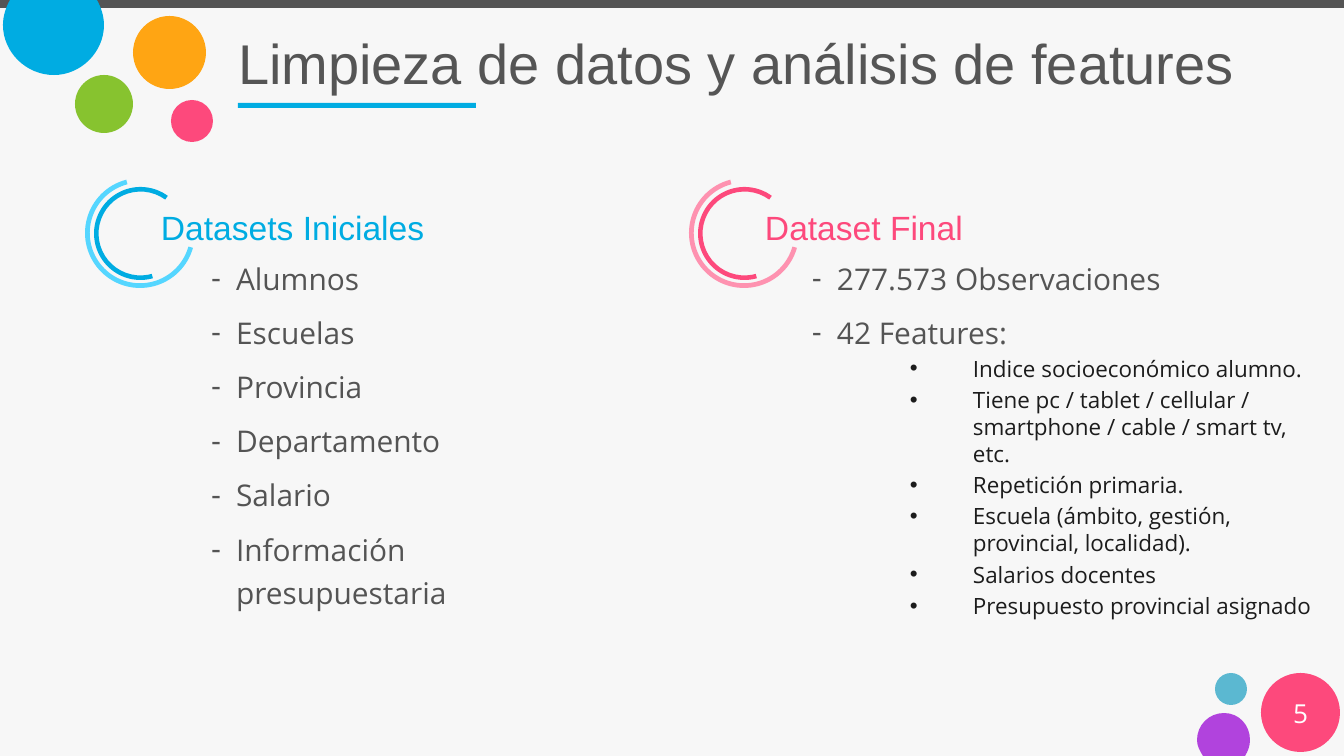
import lxml.etree
import pptx
import pptx.dml.color
import pptx.enum.shapes
import pptx.enum.text
import pptx.oxml.ns
import pptx.util

WIDTH, HEIGHT = 1344, 756
PX = 20 * 914400 / WIDTH
SHAPE = pptx.enum.shapes.MSO_SHAPE
ALIGN = pptx.enum.text.PP_ALIGN
ANCHOR = pptx.enum.text.MSO_ANCHOR

COLOURS = {
    "paper": "F7F7F7", "bar": "545454", "title": "555555", "ink": "1C1C1C",
    "white": "FFFFFF", "blue": "00ACE2", "light blue": "55D6FF",
    "pink": "FD497C", "light pink": "FE92B0", "green": "87C32F",
    "orange": "FFA513", "teal": "5BB8D1", "purple": "B143DD",
}

TITLE = "Limpieza de datos y análisis de features"
PAGE_NUMBER = "5"
COLUMNS = [
    {
        "heading": "Datasets Iniciales", "colour": "blue",
        "left": 85, "list left": 199, "list width": 429,
        "items": ["Alumnos", "Escuelas", "Provincia", "Departamento", "Salario",
                  "Información presupuestaria"],
        "details": [],
    },
    {
        "heading": "Dataset Final", "colour": "pink",
        "left": 689, "list left": 800, "list width": 524,
        "items": ["277.573 Observaciones", "42 Features:"],
        "details": ["Indice socioeconómico alumno.",
                    "Tiene pc / tablet / cellular / smartphone / cable / smart tv, etc.",
                    "Repetición primaria.",
                    "Escuela (ámbito, gestión, provincial, localidad).",
                    "Salarios docentes",
                    "Presupuesto provincial asignado"],
    },
]

BARS = [(0, 0, WIDTH, 8, "bar"), (238, 103, 238, 5, "blue")]
BUBBLES = [
    (171, 100, 42, "pink"), (75, 75, 58, "green"), (133, 16, 73, "orange"),
    (1215, 673, 32, "teal"), (1261, 673, 79, "pink"),
]
CUT_BUBBLES = [
    ("blue", [(10, 0), (97, 0),
              (101, 7), (104, 16), (104, 25), (104, 52), (81, 75), (54, 75),
              (26, 75), (3, 52), (3, 25), (3, 16), (6, 7), (10, 0)]),
    ("purple", [(1245, 756), (1203, 756),
                (1200, 751), (1197, 746), (1197, 740), (1197, 725), (1209, 713), (1224, 713),
                (1239, 713), (1250, 725), (1250, 740), (1250, 746), (1248, 751), (1245, 756)]),
]
ARCS = [
    {"inset": 0, "size": 110, "turn": 60, "shade": "light ",
     "adjust": (189.41, 117.33, 0.043)},
    {"inset": 9, "size": 93, "turn": 110.3, "shade": "",
     "adjust": (194.52, 117.42, 0.049)},
]

TITLE_STYLE = {"font": {"name": "Arial", "size": 60}, "colour": "title"}
HEADING_STYLE = {"font": {"name": "Arial", "size": 36},
                 "para": {"line_spacing": 1.2, "space_before": pptx.util.Pt(12)}}
ITEM_STYLE = {"font": {"name": "Open Sans", "size": 32}, "colour": "bar",
              "para": {"line_spacing": 1.2, "space_before": pptx.util.Pt(12)},
              "bullet": ("-", 25, 25)}
DETAIL_STYLE = {"font": {"name": "Open Sans", "size": 24}, "colour": "ink",
                "para": {"line_spacing": 1.0, "space_before": pptx.util.Pt(4.8), "level": 1},
                "bullet": ("•", 161, 63)}
NUMBER_STYLE = {"font": {"name": "Open Sans", "size": 28}, "colour": "white",
                "para": {"alignment": ALIGN.CENTER}}


def emu(*lengths):
    return [round(length * PX) for length in lengths]


def rgb(name):
    return pptx.dml.color.RGBColor.from_string(COLOURS[name])


def paint(shape, colour):
    shape.shadow.inherit = False
    shape.fill.solid()
    shape.fill.fore_color.rgb = rgb(colour)
    shape.line.fill.background()


def add_filled(page, kind, left, top, width, height, colour):
    shape = page.shapes.add_shape(kind, *emu(left, top, width, height))
    paint(shape, colour)
    return shape


def add_cut_bubble(page, colour, points):
    corners = [emu(*point) for point in points]
    builder = page.shapes.build_freeform(*corners[0])
    builder.add_line_segments(corners[1:], close=True)
    shape = builder.convert_to_shape()
    segments = list(shape._element.iter(pptx.oxml.ns.qn("a:lnTo")))[1:]
    for index in range(0, len(segments), 3):
        curve = lxml.etree.Element(pptx.oxml.ns.qn("a:cubicBezTo"))
        segments[index].addprevious(curve)
        for segment in segments[index:index + 3]:
            curve.append(segment[0])
            segment.getparent().remove(segment)
    paint(shape, colour)


def add_bullet(para, mark, margin, hang):
    properties = para._p.get_or_add_pPr()
    for key, value in zip(("marL", "indent"), emu(margin, -hang)):
        properties.set(key, str(value))
    for tag, key, value in (("a:buFont", "typeface", "Arial"), ("a:buChar", "char", mark)):
        lxml.etree.SubElement(properties, pptx.oxml.ns.qn(tag)).set(key, value)


def add_text(page, place, anchor, lines):
    box = page.shapes.add_textbox(*emu(*place))
    frame = box.text_frame
    side, edge = emu(12, 6)
    settings = {"word_wrap": True, "vertical_anchor": anchor, "margin_left": side,
                "margin_right": side, "margin_top": edge, "margin_bottom": edge}
    for key, value in settings.items():
        setattr(frame, key, value)
    for index, (text, style) in enumerate(lines):
        para = frame.add_paragraph() if index else frame.paragraphs[0]
        for key, value in style.get("para", {}).items():
            setattr(para, key, value)
        if "bullet" in style:
            add_bullet(para, *style["bullet"])
        span = para.add_run()
        span.text = text
        span.font.name = style["font"]["name"]
        span.font.size = pptx.util.Pt(style["font"]["size"])
        span.font.color.rgb = rgb(style["colour"])


def add_column(page, column):
    left, colour = column["left"], column["colour"]
    for arc in ARCS:
        ring = add_filled(page, SHAPE.BLOCK_ARC, left + arc["inset"], 178 + arc["inset"],
                          arc["size"], arc["size"], arc["shade"] + colour)
        ring.rotation = arc["turn"]
        for index, value in enumerate(arc["adjust"]):
            ring.adjustments[index] = value
    add_text(page, (left + 64, 195, 523, 58), ANCHOR.BOTTOM,
             [(column["heading"], {**HEADING_STYLE, "colour": colour})])
    lines = [(item, ITEM_STYLE) for item in column["items"]]
    lines += [(detail, DETAIL_STYLE) for detail in column["details"]]
    add_text(page, (column["list left"], 247, column["list width"], 404), ANCHOR.TOP, lines)


def main():
    deck = pptx.Presentation()
    deck.slide_width, deck.slide_height = emu(WIDTH, HEIGHT)
    page = deck.slides.add_slide(deck.slide_layouts[6])
    page.background.fill.solid()
    page.background.fill.fore_color.rgb = rgb("paper")

    for bar in BARS:
        add_filled(page, SHAPE.RECTANGLE, *bar)
    for left, top, size, colour in BUBBLES:
        add_filled(page, SHAPE.OVAL, left, top, size, size, colour)
    for colour, points in CUT_BUBBLES:
        add_cut_bubble(page, colour, points)

    add_text(page, (226, 18, 1054, 89), ANCHOR.MIDDLE, [(TITLE, TITLE_STYLE)])
    for column in COLUMNS:
        add_column(page, column)
    add_text(page, (1261, 693, 79, 40), ANCHOR.MIDDLE, [(PAGE_NUMBER, NUMBER_STYLE)])
    deck.save("out.pptx")


if __name__ == "__main__":
    main()
